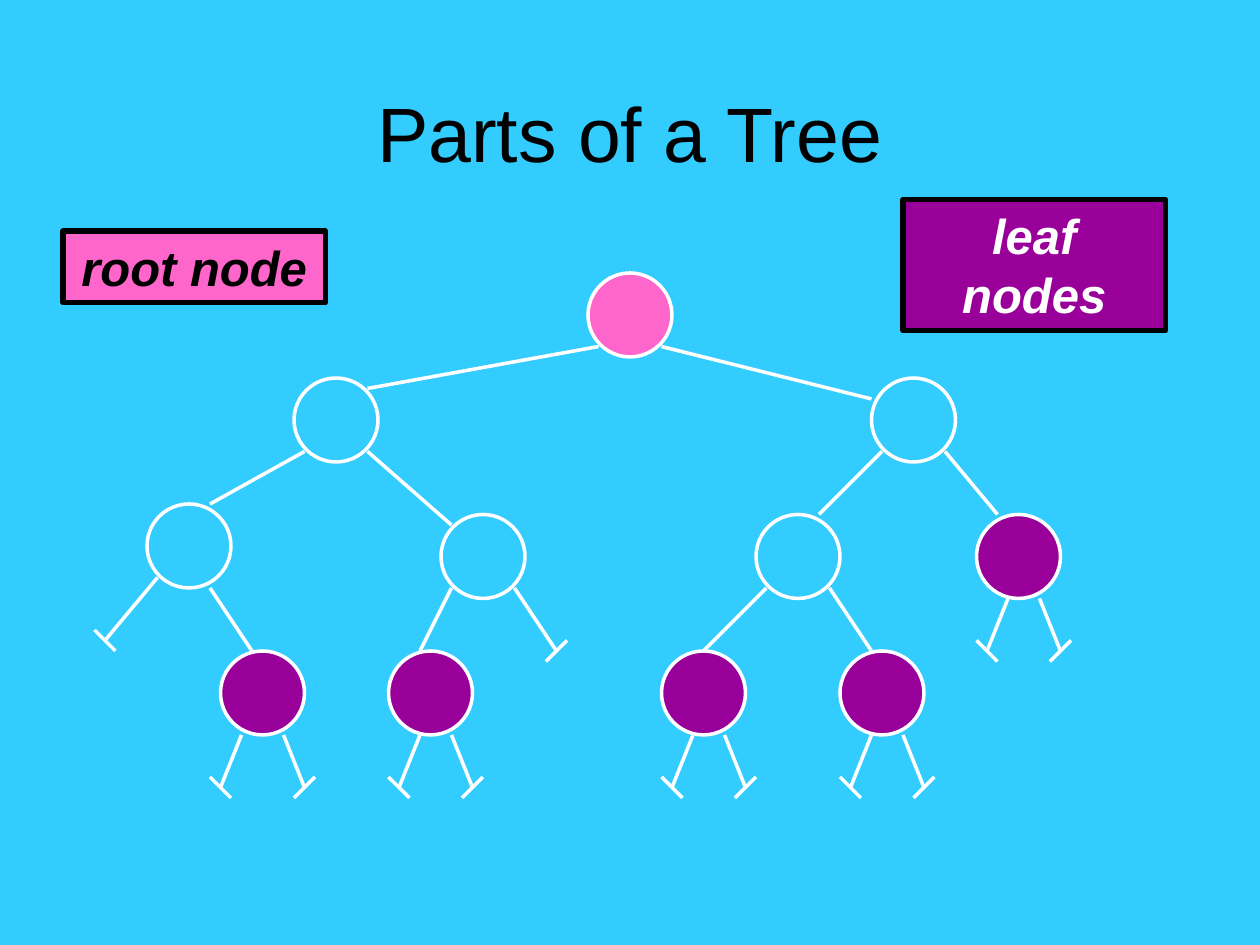
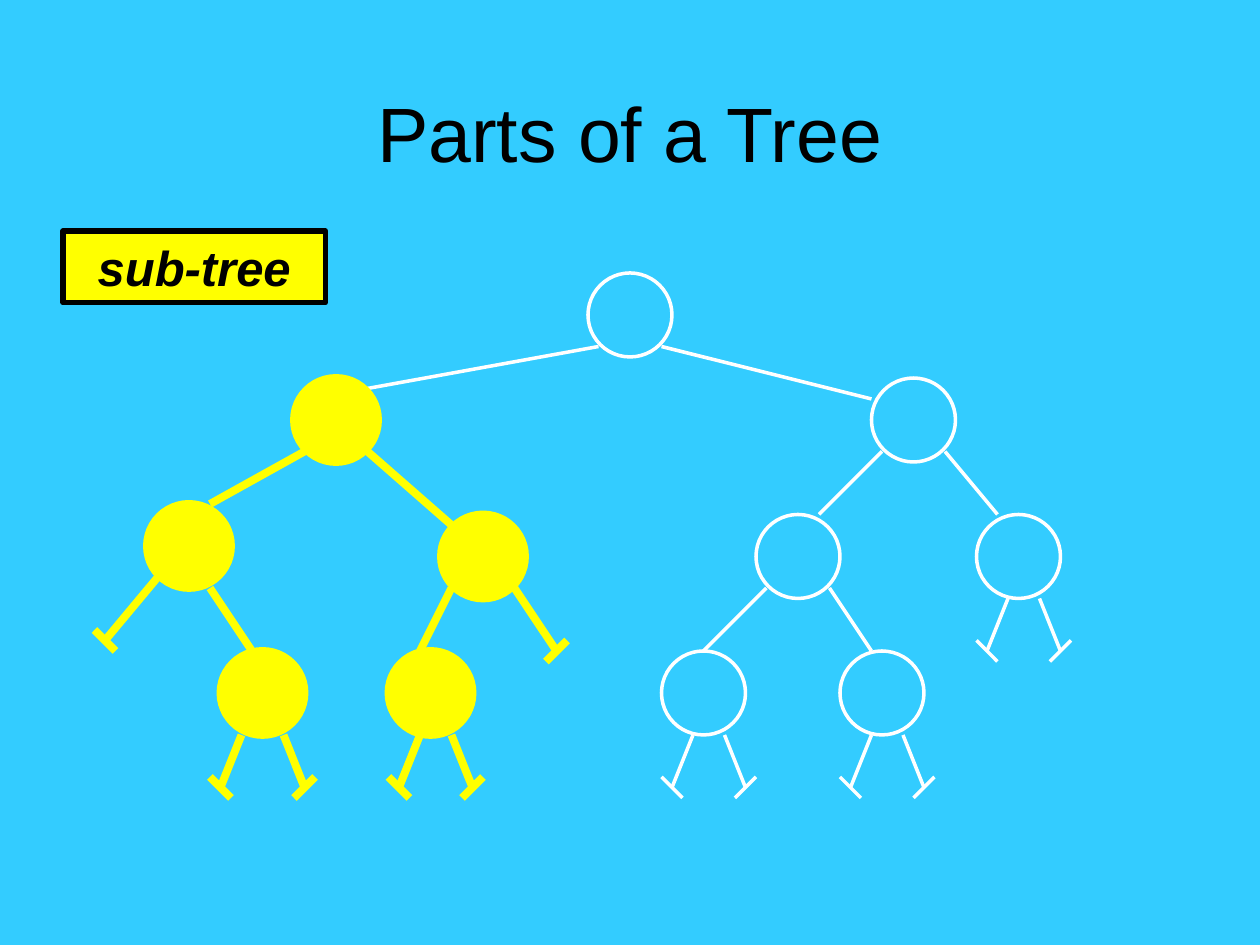
import pptx
import pptx.dml.color
import pptx.enum.shapes
import pptx.enum.text
import pptx.oxml.ns
import pptx.util
from dataclasses import dataclass
from lxml import etree

Pt = pptx.util.Pt
Shape = pptx.enum.shapes.MSO_SHAPE
Fit = pptx.enum.text.MSO_AUTO_SIZE
Anchor = pptx.enum.text.MSO_ANCHOR


@dataclass(frozen=True)
class Theme:
    sky: str = "33CCFF"
    white: str = "FFFFFF"
    black: str = "000000"
    pink: str = "FF66CC"
    purple: str = "990099"
    yellow: str = "FFFF00"
    font: str = "Arial"
    title: int = 44
    label: int = 28
    thin: float = 2
    frame: float = 3
    thick: float = 4.5


THEME = Theme()
SIZE = 48
NODES = {
    "t": (336, 156),
    "tl": (168, 216), "tr": (498, 216),
    "tll": (84, 288), "tlr": (252, 294), "trl": (432, 294), "trr": (558, 294),
    "tllr": (126, 372), "tlrl": (222, 372), "trll": (378, 372), "trlr": (480, 372),
}
LEAVES = ("tllr", "tlrl", "trll", "trlr", "trr")
EDGES = [
    ("t", 342, 198, 210, 222), ("t", 378, 198, 498, 228),
    ("tl", 174, 258, 120, 288), ("tl", 210, 258, 258, 300),
    ("tr", 504, 258, 468, 294), ("tr", 540, 258, 570, 294),
    ("tll", 120, 336, 144, 372), ("tlr", 258, 336, 240, 372),
    ("trl", 438, 336, 402, 372), ("trl", 474, 336, 498, 372),
]


def find_stubs():
    stubs = [("tll", 90, 330, 60, 366, 1), ("tlr", 294, 336, 318, 372, -1)]
    for name in LEAVES:
        left, top = NODES[name]
        inset = 12 if name == "tllr" else 18
        base, end = top + SIZE, top + SIZE + 30
        stubs.append((name, left + inset, base, left + inset - 12, end, 1))
        stubs.append((name, left + 36, base, left + 48, end, -1))
    return stubs


def tint(code):
    return pptx.dml.color.RGBColor.from_string(code)


def assign(target, values):
    for key, value in values.items():
        setattr(target, key, value)


class Deck:
    def __init__(self, theme):
        self.theme = theme
        self.show = pptx.Presentation()
        assign(self.show, {"slide_width": Pt(720), "slide_height": Pt(540)})
        self.slide = None

    def start(self, title):
        self.slide = self.show.slides.add_slide(self.show.slide_layouts[6])
        fill = self.slide.background.fill
        fill.solid()
        fill.fore_color.rgb = tint(self.theme.sky)
        box = self.slide.shapes.add_textbox(Pt(54), Pt(30), Pt(612), Pt(90))
        self.letter(box, title, self.theme.black, {"size": Pt(self.theme.title)},
                    {"vertical_anchor": Anchor.MIDDLE, "auto_size": Fit.NONE})

    def letter(self, shape, text, color, style, layout):
        frame = shape.text_frame
        assign(frame, {"word_wrap": True, **layout})
        line = frame.paragraphs[0]
        line.text = text
        line.alignment = pptx.enum.text.PP_ALIGN.CENTER
        assign(line.font, {"name": self.theme.font, **style})
        line.font.color.rgb = tint(color)

    def stroke(self, item, color, width):
        item.line.color.rgb = tint(color)
        item.line.width = Pt(width)

    def block(self, kind, place, fill, color, width):
        shape = self.slide.shapes.add_shape(kind, *map(Pt, place))
        shape.shadow.inherit = False
        if fill:
            shape.fill.solid()
            shape.fill.fore_color.rgb = tint(fill)
        else:
            shape.fill.background()
        self.stroke(shape, color, width)
        return shape

    def label(self, text, place, fill, color):
        box = self.block(Shape.RECTANGLE, place, fill, self.theme.black, self.theme.frame)
        style = {"size": Pt(self.theme.label), "bold": True, "italic": True}
        self.letter(box, text, color, style,
                    {"vertical_anchor": Anchor.TOP, "auto_size": Fit.SHAPE_TO_FIT_TEXT})

    def wire(self, ends, color, width):
        kind = pptx.enum.shapes.MSO_CONNECTOR.STRAIGHT
        line = self.slide.shapes.add_connector(kind, *map(Pt, ends))
        self.stroke(line, color, width)
        etree.SubElement(line._element.spPr, pptx.oxml.ns.qn("a:effectLst"))

    def stub(self, x1, y1, x2, y2, slope, pen):
        self.wire((x1, y1, x2, y2), *pen)
        rise = 6 * slope
        self.wire((x2 - 6, y2 - rise, x2 + 6, y2 + rise), *pen)

    def tree(self, fills, branch=None):
        def pen(name):
            if branch and name.startswith(branch):
                return self.theme.yellow, self.theme.thick
            return self.theme.white, self.theme.thin

        for name, *ends in EDGES:
            self.wire(ends, *pen(name))
        for name, *ends in find_stubs():
            self.stub(*ends, pen(name))
        for name, spot in NODES.items():
            self.block(Shape.OVAL, (*spot, SIZE, SIZE), fills.get(name), *pen(name))


def main():
    deck = Deck(THEME)
    title = "Parts of a Tree"
    corner = (36, 132, 150, 41)

    deck.start(title)
    deck.tree({"t": THEME.pink, **dict.fromkeys(LEAVES, THEME.purple)})
    deck.label("root node", corner, THEME.pink, THEME.black)
    deck.label("leaf nodes", (516, 114, 150, 75), THEME.purple, THEME.white)

    deck.start(title)
    branch = "tl"
    deck.tree({name: THEME.yellow for name in NODES if name.startswith(branch)}, branch)
    deck.label("sub-tree", corner, THEME.yellow, THEME.black)

    deck.show.save("out.pptx")


if __name__ == "__main__":
    main()
